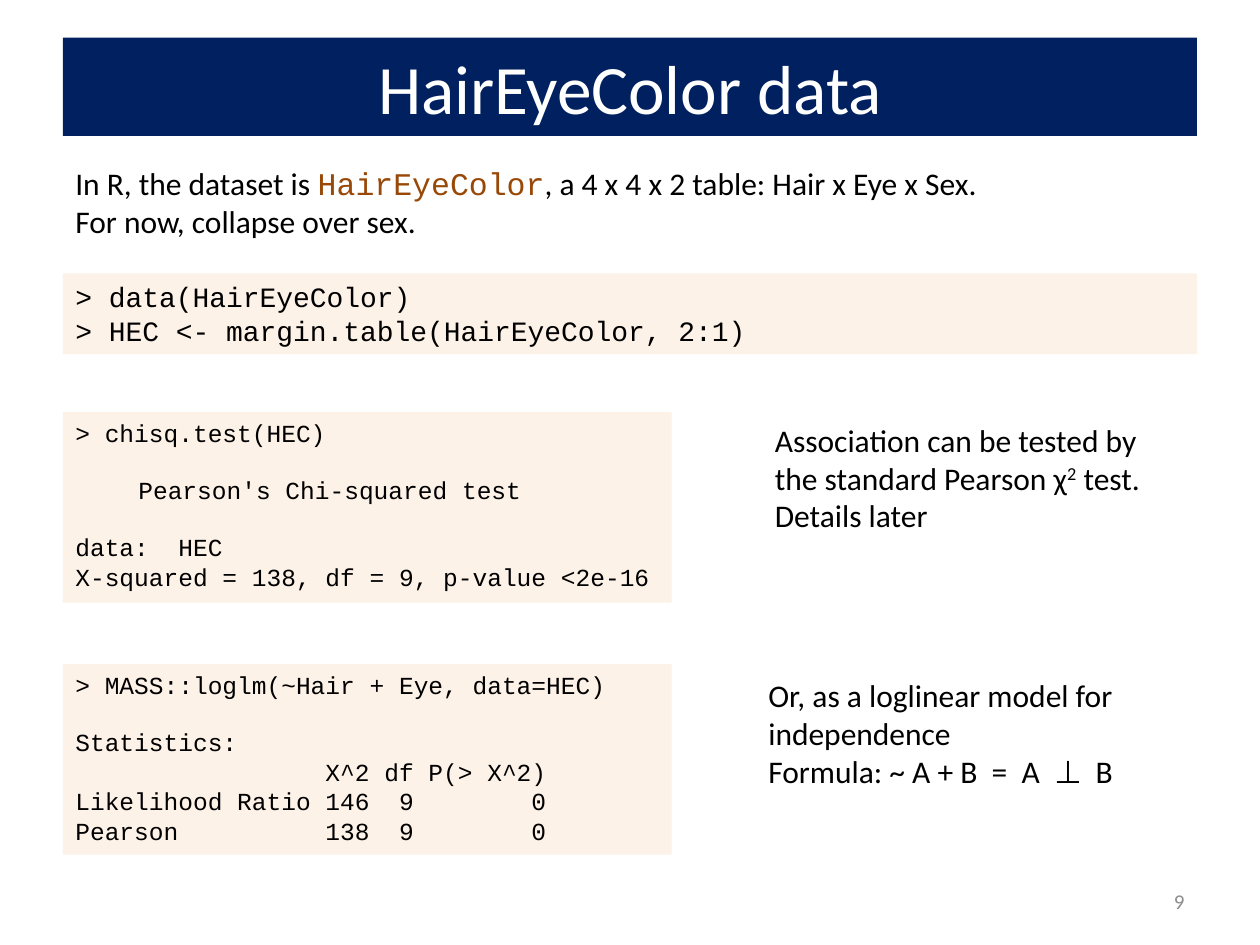
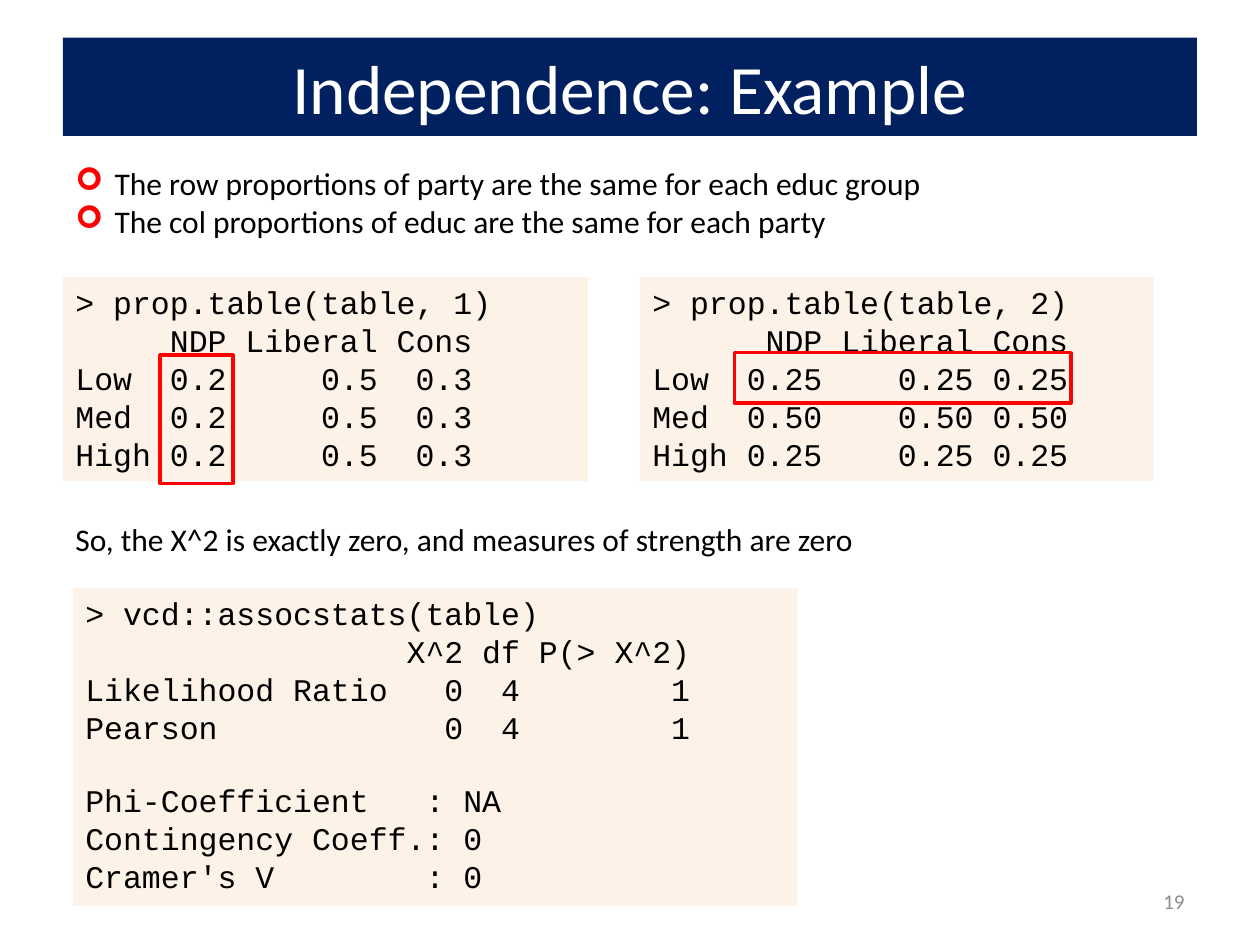
from dataclasses import dataclass
from typing import Optional

from lxml.etree import SubElement
from pptx import Presentation
from pptx.dml.color import RGBColor
from pptx.enum.shapes import MSO_SHAPE
from pptx.enum.text import MSO_ANCHOR, PP_ALIGN
from pptx.oxml.ns import qn
from pptx.util import Cm, Pt

NAVY = RGBColor(0x00, 0x20, 0x60)
WHITE = RGBColor(0xFF, 0xFF, 0xFF)
BLACK = RGBColor(0x00, 0x00, 0x00)
GRAY = RGBColor(0x8C, 0x8C, 0x8C)
BROWN = RGBColor(0x98, 0x48, 0x07)
CREAM = RGBColor(0xFD, 0xEA, 0xDA)
RED = RGBColor(0xFF, 0x00, 0x00)
BODY_FONT, CODE_FONT = "Calibri", "Courier New"
LEFT, WIDTH = 1.27, 22.86
CODE_LINE_HEIGHT = 1.13


@dataclass(frozen=True)
class Box:
    """Position and size in centimetres."""
    left: float
    top: float
    width: float
    height: float

    def place(self) -> tuple:
        """Return the four lengths that python-pptx expects."""
        return Cm(self.left), Cm(self.top), Cm(self.width), Cm(self.height)


@dataclass(frozen=True)
class Span:
    """A stretch of text that may be inline code or a superscript."""
    text: str
    code: bool = False
    superscript: bool = False


@dataclass(frozen=True)
class Note:
    """Body text, one list of spans per paragraph."""
    box: Box
    lines: list
    bulleted: bool = False


@dataclass(frozen=True)
class Code:
    """A code listing, with an optional red frame."""
    box: Box
    size: int
    listing: str
    frame: Optional[Box] = None


def style(r, size: float, color: RGBColor, font: str = BODY_FONT) -> None:
    """Format one run."""
    r.font.size, r.font.name = Pt(size), font
    r.font.color.rgb = color


def add_rect(shapes, box: Box):
    """Add a rectangle without shadow, line or fill."""
    sp = shapes.add_shape(MSO_SHAPE.RECTANGLE, *box.place())
    sp.shadow.inherit = False
    sp.fill.background()
    sp.line.fill.background()
    return sp


def add_label(sp, text: str, size: float, color: RGBColor, align: PP_ALIGN) -> None:
    """Write one vertically centred line in a shape."""
    tf = sp.text_frame
    tf.word_wrap, tf.vertical_anchor = True, MSO_ANCHOR.MIDDLE
    tf.text = text
    p = tf.paragraphs[0]
    p.alignment = align
    style(p.runs[0], size, color)


def add_bullet(p) -> None:
    """Give a paragraph a hanging red arrow bullet."""
    pPr = p._p.get_or_add_pPr()
    pPr.set("marL", str(Cm(0.79)))
    pPr.set("indent", str(Cm(-0.79)))
    SubElement(SubElement(pPr, qn("a:buClr")), qn("a:srgbClr"), val=str(RED))
    SubElement(pPr, qn("a:buFont"), typeface="Wingdings")
    SubElement(pPr, qn("a:buChar"), char="➢")


def add_note(s, note: Note) -> None:
    """Draw a body text box."""
    tf = s.shapes.add_textbox(*note.box.place()).text_frame
    tf.word_wrap = True
    for i, line in enumerate(note.lines):
        p = tf.add_paragraph() if i else tf.paragraphs[0]
        if note.bulleted:
            add_bullet(p)
        for span in line:
            r = p.add_run()
            r.text = span.text
            style(r, 18, BROWN if span.code else BLACK, CODE_FONT if span.code else BODY_FONT)
            if span.superscript:
                r._r.get_or_add_rPr().set("baseline", "30000")


def add_code(s, code: Code) -> None:
    """Draw a listing, turning its empty lines into paragraph spacing."""
    shapes = s.shapes.add_group_shape().shapes if code.frame else s.shapes
    sp = add_rect(shapes, code.box)
    sp.fill.solid()
    sp.fill.fore_color.rgb = CREAM
    SubElement(sp.fill._xPr.find(f".//{qn('a:srgbClr')}"), qn("a:alpha"), val="60000")
    tf = sp.text_frame
    tf.word_wrap, tf.vertical_anchor = True, MSO_ANCHOR.TOP
    p, gap = tf.paragraphs[0], False
    for i, line in enumerate(code.listing.split("\n")):
        if not line:
            gap = True
            continue
        if i:
            p = tf.add_paragraph()
        p.text, p.alignment = line, PP_ALIGN.LEFT
        if gap:
            p.space_before = Pt(round(code.size * CODE_LINE_HEIGHT, 1))
        gap = False
        style(p.runs[0], code.size, BLACK, CODE_FONT)
    if code.frame:
        frame = add_rect(shapes, code.frame)
        frame.line.color.rgb, frame.line.width = RED, Pt(2)


def add_slide(prs, title: str, number: int, notes: list, codes: list) -> None:
    """Add a slide with title band, page number, notes and listings."""
    s = prs.slides.add_slide(prs.slide_layouts[6])
    band = add_rect(s.shapes, Box(LEFT, 0.76, WIDTH, 1.98))
    band.fill.solid()
    band.fill.fore_color.rgb = NAVY
    add_label(band, title, 39.6, WHITE, PP_ALIGN.CENTER)
    footer = s.shapes.add_textbox(*Box(18.21, 17.65, 5.92, 1.02).place())
    add_label(footer, str(number), 12, GRAY, PP_ALIGN.RIGHT)
    for code in codes:
        add_code(s, code)
    for note in notes:
        add_note(s, note)


DATA_CODE = """> data(HairEyeColor)
> HEC <- margin.table(HairEyeColor, 2:1)"""

CHISQ_CODE = """> chisq.test(HEC)

\tPearson's Chi-squared test

data:  HEC
X-squared = 138, df = 9, p-value <2e-16"""

LOGLM_CODE = """> MASS::loglm(~Hair + Eye, data=HEC)

Statistics:
                 X^2 df P(> X^2)
Likelihood Ratio 146  9        0
Pearson          138  9        0"""

ROW_CODE = """> prop.table(table, 1)
     NDP Liberal Cons
Low  0.2     0.5  0.3
Med  0.2     0.5  0.3
High 0.2     0.5  0.3"""

COLUMN_CODE = """> prop.table(table, 2)
      NDP Liberal Cons
Low  0.25    0.25 0.25
Med  0.50    0.50 0.50
High 0.25    0.25 0.25"""

ASSOC_CODE = """> vcd::assocstats(table)
                 X^2 df P(> X^2)
Likelihood Ratio   0  4        1
Pearson            0  4        1

Phi-Coefficient   : NA
Contingency Coeff.: 0
Cramer's V        : 0"""

INTRO_BOX = Box(LEFT, 3.18, WIDTH, 1.8)


def main() -> None:
    """Build and save the two slides."""
    prs = Presentation()
    prs.slide_width, prs.slide_height = Cm(25.4), Cm(19.05)
    add_slide(
        prs, "HairEyeColor data", 9,
        [
            Note(INTRO_BOX, [
                [Span("In R, the dataset is "), Span("HairEyeColor", code=True),
                 Span(", a 4 x 4 x 2 table: Hair x Eye x Sex.")],
                [Span("For now, collapse over sex.")],
            ]),
            Note(Box(15.37, 8.36, 8.69, 2.57), [
                [Span("Association can be tested by the standard Pearson χ"),
                 Span("2", superscript=True), Span(" test. Details later")],
            ]),
            Note(Box(15.24, 13.51, 8.89, 2.57), [
                [Span("Or, as a loglinear model for independence")],
                [Span("Formula: ~ A + B  =  A  ⊥  B")],
            ]),
        ],
        [
            Code(Box(LEFT, 5.51, WIDTH, 1.63), 16, DATA_CODE),
            Code(Box(LEFT, 8.31, 12.27, 3.84), 14, CHISQ_CODE),
            Code(Box(LEFT, 13.39, 12.27, 3.84), 14, LOGLM_CODE),
        ],
    )
    add_slide(
        prs, "Independence: Example", 19,
        [
            Note(INTRO_BOX, [
                [Span("The row proportions of party are the same for each educ group")],
                [Span("The col proportions of educ are the same for each party")],
            ], bulleted=True),
            Note(Box(LEFT, 10.36, 22.02, 1.02), [
                [Span("So, the X^2 is exactly zero, and measures of strength are zero")],
            ]),
        ],
        [
            Code(Box(1.47, 11.86, 14.61, 6.4), 18, ASSOC_CODE),
            Code(Box(12.9, 5.59, 10.36, 4.11), 18, COLUMN_CODE, Box(14.81, 7.11, 6.78, 1.02)),
            Code(Box(LEFT, 5.59, 10.59, 4.11), 18, ROW_CODE, Box(3.23, 7.16, 1.47, 2.59)),
        ],
    )
    prs.save("out.pptx")


if __name__ == "__main__":
    main()
